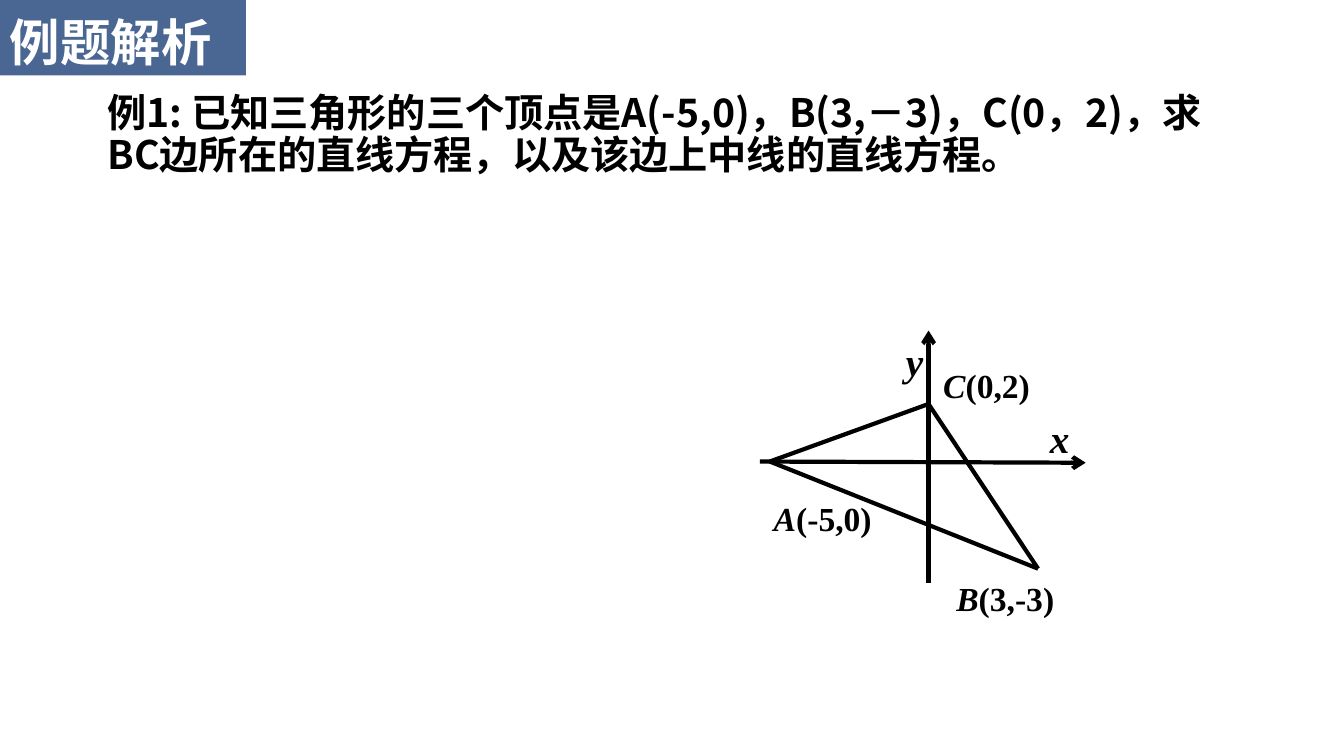
from itertools import combinations

from lxml import etree
from pptx import Presentation
from pptx import util as u
from pptx.dml.color import RGBColor
from pptx.enum import shapes, text
from pptx.oxml.ns import qn

BLACK, WHITE, BANNER_BLUE = "000000", "FFFFFF", "4A6793"
CJK, LATIN = "Noto Sans CJK SC", "Times New Roman"


def colour(hex_value):
    return RGBColor.from_string(hex_value)


def place(item, left, top, width, height):
    item.left, item.top, item.width, item.height = map(u.Cm, (left, top, width, height))


def add_run(paragraph, words, size, font, hex_value, italic=False):
    run = paragraph.add_run()
    run.text = words
    run.font.size = u.Pt(size)
    run.font.name = font
    run.font.bold = True
    run.font.italic = italic
    run.font.color.rgb = colour(hex_value)
    properties = run.font._element
    properties.set("lang", "zh-CN" if font == CJK else "en-US")
    east_asian = etree.SubElement(properties, qn("a:ea"))
    east_asian.set("typeface", font)


def prepare_frame(frame, anchor):
    frame.word_wrap = True
    frame.auto_size = text.MSO_AUTO_SIZE.NONE
    frame.vertical_anchor = anchor
    frame.margin_left = frame.margin_right = u.Cm(0.25)
    frame.margin_top = frame.margin_bottom = u.Cm(0.13)
    return frame.paragraphs[0]


def set_banner(slide, words):
    banner = slide.shapes.title
    place(banner, 0, -0.13, 6.2, 2.03)
    banner.fill.solid()
    banner.fill.fore_color.rgb = colour(BANNER_BLUE)
    paragraph = prepare_frame(banner.text_frame, text.MSO_ANCHOR.MIDDLE)
    paragraph.alignment = text.PP_ALIGN.JUSTIFY
    paragraph.line_spacing = 1.2
    add_run(paragraph, words, 36, CJK, WHITE)


def add_problem(slide, words):
    problem = slide.shapes.add_textbox(u.Cm(2.46), u.Cm(1.75), u.Cm(28.93), u.Cm(3.35))
    paragraph = prepare_frame(problem.text_frame, text.MSO_ANCHOR.MIDDLE)
    paragraph.line_spacing = 0.9
    add_run(paragraph, words, 28, CJK, BLACK)


def add_label(slide, left, top, width, size, letter, coordinates=""):
    label = slide.shapes.add_textbox(u.Cm(left), u.Cm(top), u.Cm(width), u.Cm(0.95))
    paragraph = prepare_frame(label.text_frame, text.MSO_ANCHOR.TOP)
    add_run(paragraph, letter, size, LATIN, BLACK, italic=True)
    if coordinates:
        add_run(paragraph, coordinates, size, LATIN, BLACK)


def add_segment(slide, start, end, arrow=False):
    segment = slide.shapes.add_connector(
        shapes.MSO_CONNECTOR.STRAIGHT, *map(u.Cm, start + end))
    segment.line.color.rgb = colour(BLACK)
    segment.line.width = u.Pt(3)
    if arrow:
        arrowhead = etree.SubElement(segment.line._get_or_add_ln(), qn("a:tailEnd"))
        arrowhead.set("type", "arrow")
    etree.SubElement(segment._element.spPr, qn("a:effectLst"))


def main():
    deck = Presentation()
    deck.slide_width, deck.slide_height = u.Cm(33.87), u.Cm(19.05)
    slide = deck.slides.add_slide(deck.slide_layouts[5])

    set_banner(slide, "例题解析")
    add_problem(slide, "例1: 已知三角形的三个顶点是A(-5,0)，B(3,－3)，C(0，2)，"
                       "求BC边所在的直线方程，以及该边上中线的直线方程。")

    add_segment(slide, (19.15, 11.63), (27.36, 11.66), arrow=True)
    add_segment(slide, (23.4, 14.68), (23.4, 8.33), arrow=True)
    vertices = [(19.4, 11.63), (26.16, 14.33), (23.4, 10.18)]
    for start, end in combinations(vertices, 2):
        add_segment(slide, start, end)

    add_label(slide, 26.21, 10.31, 0.64, 28, "x")
    add_label(slide, 22.58, 8.38, 0.64, 28, "y")
    for left, top, letter, coordinates in (
        (19.25, 12.42, "A", "(-5,0)"),
        (23.85, 14.43, "B", "(3,-3)"),
        (23.52, 9.07, "C", "(0,2)"),
    ):
        add_label(slide, left, top, 3.6, 24, letter, coordinates)

    deck.save("out.pptx")


if __name__ == "__main__":
    main()
